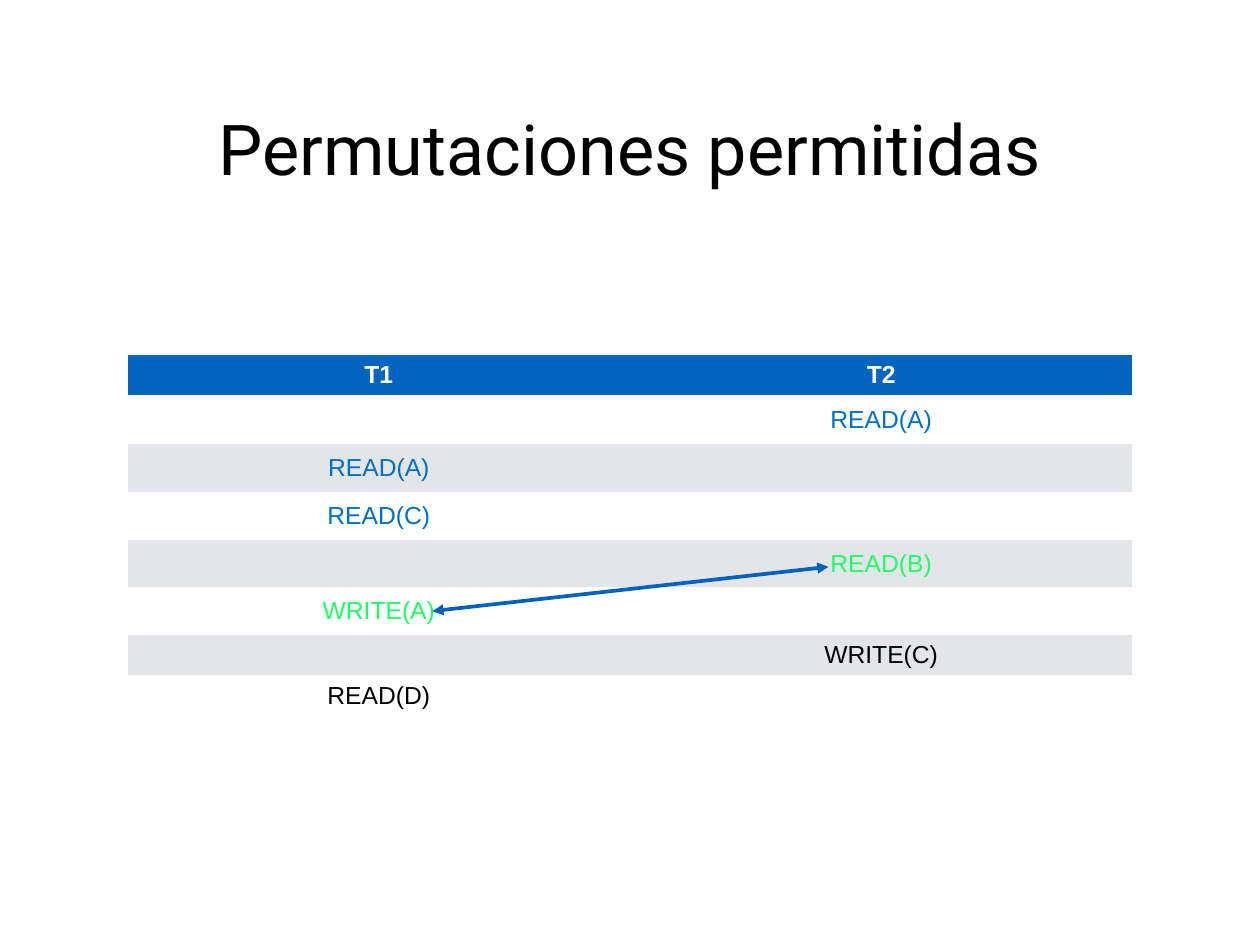
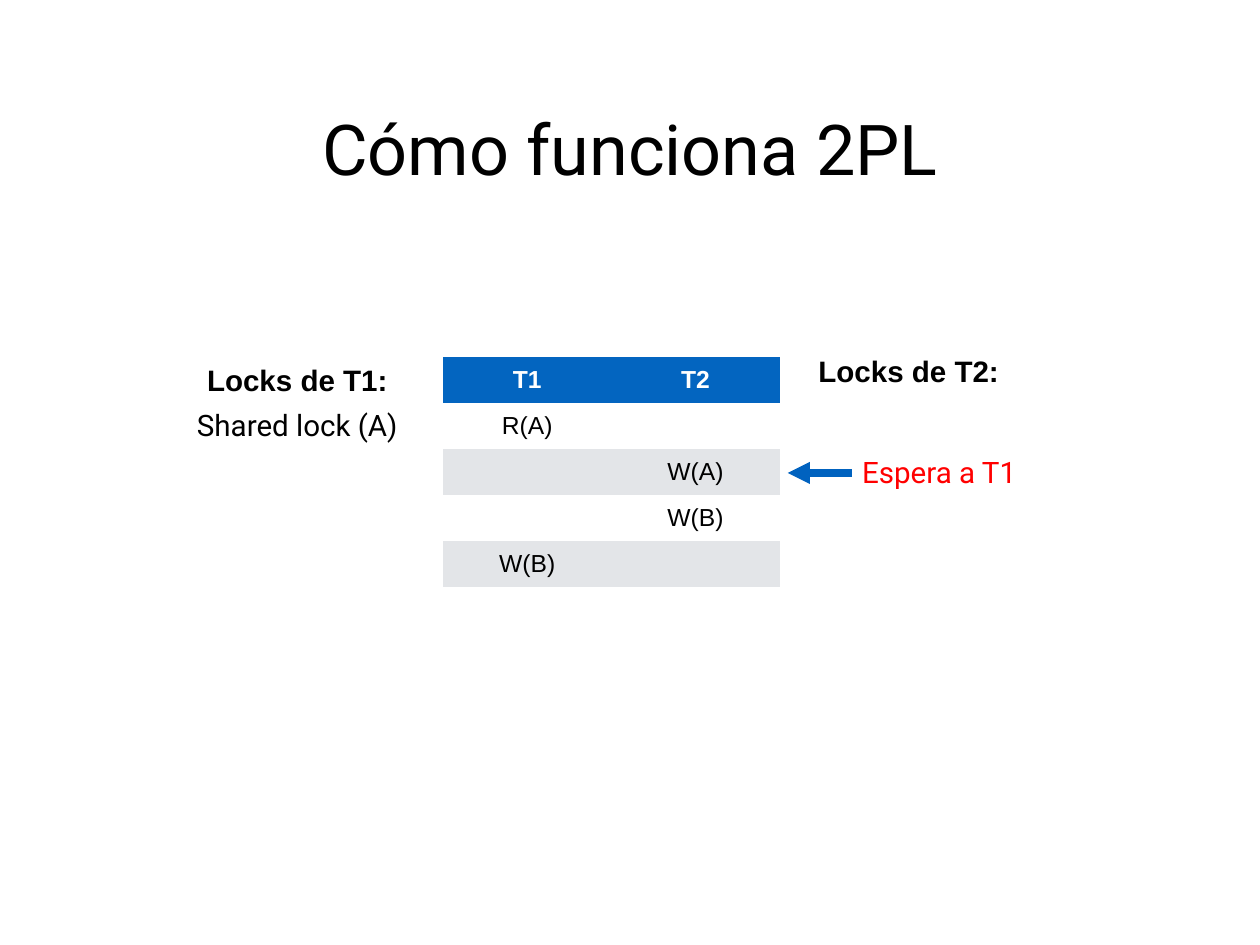
from lxml.etree import SubElement
from pptx import Presentation
from pptx.dml.color import RGBColor
from pptx.enum.shapes import MSO_CONNECTOR
from pptx.enum.text import MSO_ANCHOR, MSO_AUTO_SIZE, PP_ALIGN
from pptx.oxml.ns import qn
from pptx.util import Inches, Pt

WHITE = RGBColor(0xFF, 0xFF, 0xFF)
BLACK = RGBColor(0x00, 0x00, 0x00)
HEAD = RGBColor(0x03, 0x65, 0xC0)
BAND = RGBColor(0xE3, 0xE5, 0xE8)
ARROW = RGBColor(0x00, 0x62, 0xBF)
BLUE = RGBColor(0x00, 0x70, 0xC0)
GREEN = RGBColor(0x1D, 0xFF, 0x63)
RED = RGBColor(0xFF, 0x00, 0x00)

WIDTH, HEIGHT = 14.22, 10.67
NO_STYLE = "{2D5ABB26-0587-4C30-8999-92F81FD0307C}"
SIDES = ("margin_left", "margin_top", "margin_right", "margin_bottom")
FRAME = {**dict.fromkeys(SIDES, Inches(0.06)), "vertical_anchor": MSO_ANCHOR.MIDDLE}
BOX = {**FRAME, "word_wrap": True, "auto_size": MSO_AUTO_SIZE.SHAPE_TO_FIT_TEXT}
TITLE = {"name": "Roboto", "size": Pt(57), "bold": False}
NOTE = {"name": "Roboto", "size": Pt(24), "bold": False}
LABEL = {"name": "Arial", "size": Pt(24), "bold": True}
CELL = {"name": "Arial", "size": Pt(20), "bold": False}
HEADER = {**CELL, "bold": True}


def apply(item, style):
    """Set each attribute of the style on the item."""
    for name, value in style.items():
        setattr(item, name, value)


def write(frame, text, style, colour=BLACK):
    """Put centred, formatted text in a text frame."""
    para = frame.paragraphs[0]
    para.alignment = PP_ALIGN.CENTER
    font = para.font
    if text:
        run = para.add_run()
        run.text = text
        font = run.font
    apply(font, style)
    font.color.rgb = colour


def add_slide(deck, text, width):
    """Add a slide with its centred title."""
    slide = deck.slides.add_slide(deck.slide_layouts[5])
    title = slide.shapes.title
    apply(title, {"left": Inches((WIDTH - width) / 2), "top": Inches(1.15),
                  "width": Inches(width), "height": Inches(1.03)})
    apply(title.text_frame, BOX)
    write(title.text_frame, text, TITLE)
    return slide


def add_text(slide, place, text, style, colour=BLACK):
    """Add a text box."""
    frame = slide.shapes.add_textbox(*map(Inches, place)).text_frame
    apply(frame, BOX)
    write(frame, text, style, colour)


def add_plan(slide, left, top, width, heights, steps):
    """Add a two-column schedule of (T1, T2, colour) steps."""
    rows = [("T1", "T2", WHITE), *steps]
    shape = slide.shapes.add_table(len(rows), 2, Inches(left), Inches(top),
                                   Inches(2 * width), Inches(sum(heights)))
    table = shape.table
    table.horz_banding = False
    table._tbl.tblPr.find(qn("a:tableStyleId")).text = NO_STYLE
    for column in table.columns:
        column.width = Inches(width)
    for i, (*texts, colour) in enumerate(rows):
        table.rows[i].height = Inches(heights[i])
        fill = HEAD if i == 0 else (BAND, WHITE)[i % 2]
        for cell, text in zip(table.rows[i].cells, texts):
            apply(cell, FRAME)
            cell.fill.solid()
            cell.fill.fore_color.rgb = fill
            write(cell.text_frame, text, CELL if i else HEADER, colour)


def add_arrow(slide, start, end, width, tips):
    """Add an arrow with triangles at the given tips."""
    line = slide.shapes.add_connector(MSO_CONNECTOR.STRAIGHT, *map(Inches, start + end))
    line.line.color.rgb = ARROW
    line.line.width = Pt(width)
    for tip in tips:
        SubElement(line.line._get_or_add_ln(), qn("a:" + tip), type="triangle")
    SubElement(line._element.spPr, qn("a:effectLst"))


def add_swaps(deck):
    """Build the slide of allowed swaps."""
    slide = add_slide(deck, "Permutaciones permitidas", 9.48)
    steps = [
        ("", "READ(A)", BLUE),
        ("READ(A)", "", BLUE),
        ("READ(C)", "", BLUE),
        ("", "READ(B)", GREEN),
        ("WRITE(A)", "", GREEN),
        ("", "WRITE(C)", BLACK),
        ("READ(D)", "", BLACK),
    ]
    heights = [0.45, 0.55] + [0.54] * 4 + [0.44] * 2
    add_plan(slide, 1.44, 4.01, 5.67, heights, steps)
    add_arrow(slide, (4.88, 6.9), (9.35, 6.4), 3, ("headEnd", "tailEnd"))


def add_locks(deck):
    """Build the slide on two-phase locking."""
    slide = add_slide(deck, "Cómo funciona 2PL", 7.22)
    steps = [
        ("R(A)", "", BLACK),
        ("", "W(A)", BLACK),
        ("", "W(B)", BLACK),
        ("W(B)", "", BLACK),
    ]
    add_plan(slide, 5, 4.03, 1.9, [0.52] * 5, steps)
    add_text(slide, (2.06, 4.04, 2.59, 0.49), "Locks de T1:", LABEL)
    add_text(slide, (2.06, 4.55, 2.59, 0.5), "Shared lock (A)", NOTE)
    add_text(slide, (8.96, 3.94, 2.59, 0.49), "Locks de T2:", LABEL)
    add_text(slide, (9.5, 5.08, 2.2, 0.5), "Espera a T1", NOTE, RED)
    add_arrow(slide, (9.61, 5.34), (8.89, 5.34), 6, ("tailEnd",))


def main():
    """Build and save the deck."""
    deck = Presentation()
    deck.slide_width, deck.slide_height = Inches(WIDTH), Inches(HEIGHT)
    add_swaps(deck)
    add_locks(deck)
    deck.save("out.pptx")


if __name__ == "__main__":
    main()
